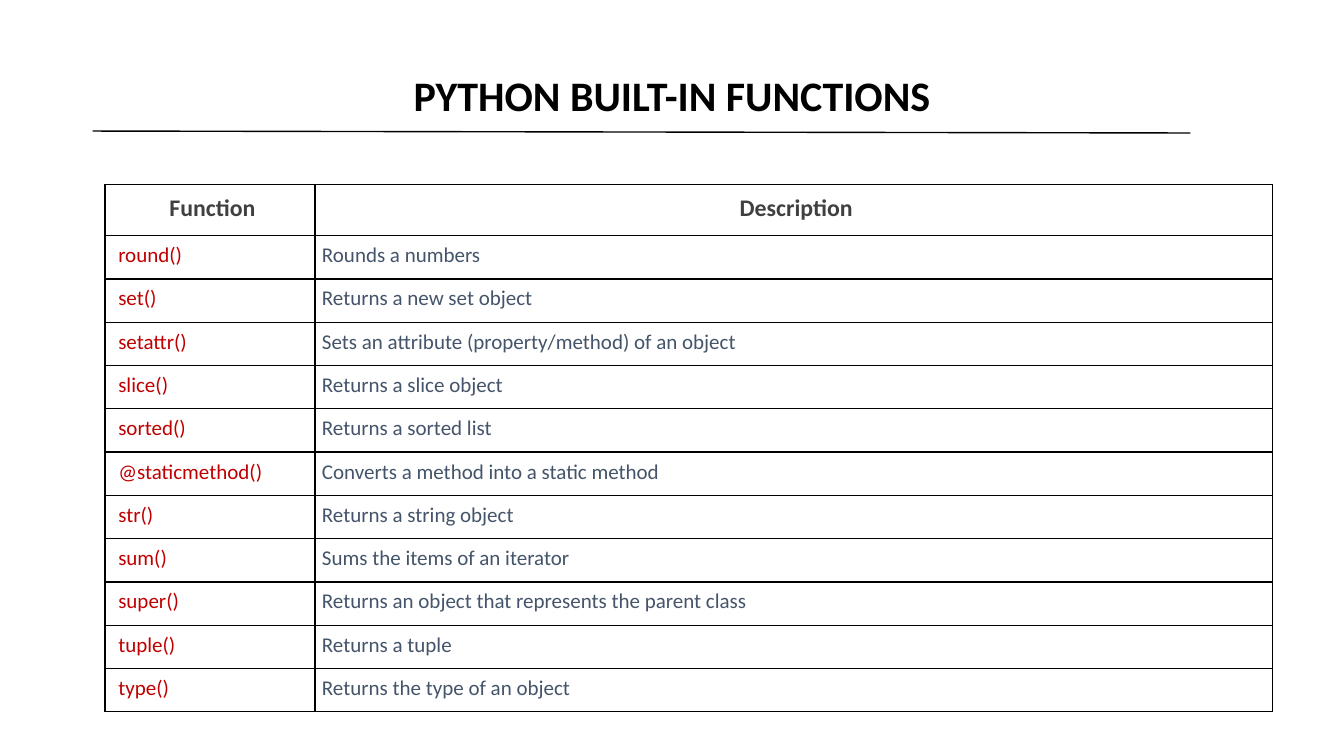
"""Build the slide listing Python built-in functions in a bordered table."""
from lxml import etree
from pptx import Presentation
from pptx import util as u
from pptx.dml.color import RGBColor
from pptx.enum import shapes, text
from pptx.oxml.ns import qn

HEADING = "PYTHON BUILT-IN FUNCTIONS"
HEADER = ("Function", "Description")
FUNCTIONS = [
    ("round()", "Rounds a numbers"),
    ("set()", "Returns a new set object"),
    ("setattr()", "Sets an attribute (property/method) of an object"),
    ("slice()", "Returns a slice object"),
    ("sorted()", "Returns a sorted list"),
    ("@staticmethod()", "Converts a method into a static method"),
    ("str()", "Returns a string object"),
    ("sum()", "Sums the items of an iterator"),
    ("super()", "Returns an object that represents the parent class"),
    ("tuple()", "Returns a tuple"),
    ("type()", "Returns the type of an object"),
]

BLACK = RGBColor(0x00, 0x00, 0x00)
WHITE = RGBColor(0xFF, 0xFF, 0xFF)
GREY = RGBColor(0x40, 0x40, 0x40)
RED = RGBColor(0xC0, 0x00, 0x00)
SLATE = RGBColor(0x44, 0x54, 0x6A)

FONT = "Calibri"
SIDES = ("left", "top", "right", "bottom")
HEADER_INSETS = (13.5, 6.75, 10, 6.75)
FUNCTION_INSETS = (9.5, 5, 5, 5)
DESCRIPTION_INSETS = (5, 5, 5, 5)
COLUMN_WIDTHS = (150, 684)
HEADER_HEIGHT, FUNCTION_HEIGHT = 36.5, 30.95
TABLE_LEFT, TABLE_TOP = 75, 131.8


def apply(target, values):
    for name, value in values.items():
        setattr(target, name, value)


def set_insets(target, insets):
    apply(target, {f"margin_{side}": u.Pt(inset) for side, inset in zip(SIDES, insets)})


def write(paragraph, words, size, colour, bold, align):
    paragraph.text = words
    paragraph.alignment = align
    apply(paragraph.font, {"name": FONT, "size": u.Pt(size), "bold": bold})
    paragraph.font.color.rgb = colour


def add_borders(cell):
    properties = cell._tc.get_or_add_tcPr()
    for edge in ("lnL", "lnR", "lnT", "lnB"):
        border = etree.SubElement(properties, qn(f"a:{edge}"), w=str(u.Pt(1)))
        fill = etree.SubElement(border, qn("a:solidFill"))
        etree.SubElement(fill, qn("a:srgbClr"), val=str(BLACK))


def add_heading(slide):
    heading = slide.shapes.add_textbox(u.Pt(66.2), u.Pt(45.4), u.Pt(828), u.Pt(49.7))
    frame = heading.text_frame
    apply(frame, {"word_wrap": True, "vertical_anchor": text.MSO_ANCHOR.MIDDLE})
    set_insets(frame, (0, 0, 0, 0))
    paragraph = frame.paragraphs[0]
    write(paragraph, HEADING, 30, BLACK, True, text.PP_ALIGN.CENTER)
    apply(paragraph, {"line_spacing": 0.9, "space_after": u.Pt(6)})

    rule = slide.shapes.add_connector(
        shapes.MSO_CONNECTOR.STRAIGHT, u.Pt(66.2), u.Pt(93.6), u.Pt(850.3), u.Pt(95))
    rule.line.width = u.Pt(1)
    rule.line.color.rgb = BLACK
    etree.SubElement(rule._element.spPr, qn("a:effectLst"))


def add_functions(slide):
    rows = [HEADER, *FUNCTIONS]
    heights = [HEADER_HEIGHT] + [FUNCTION_HEIGHT] * len(FUNCTIONS)
    table = slide.shapes.add_table(
        len(rows), len(HEADER), u.Pt(TABLE_LEFT), u.Pt(TABLE_TOP),
        u.Pt(sum(COLUMN_WIDTHS)), u.Pt(sum(heights))).table
    for column, width in zip(table.columns, COLUMN_WIDTHS):
        column.width = u.Pt(width)
    for row, height in zip(table.rows, heights):
        row.height = u.Pt(height)

    header_style = (HEADER_INSETS, 17, GREY, True, text.PP_ALIGN.CENTER)
    body_styles = (
        (FUNCTION_INSETS, 15, RED, False, text.PP_ALIGN.LEFT),
        (DESCRIPTION_INSETS, 15, SLATE, False, text.PP_ALIGN.LEFT),
    )
    for row_index, row in enumerate(rows):
        for column_index, words in enumerate(row):
            cell = table.cell(row_index, column_index)
            insets, *style = body_styles[column_index] if row_index else header_style
            set_insets(cell, insets)
            add_borders(cell)
            cell.fill.solid()
            cell.fill.fore_color.rgb = WHITE
            write(cell.text_frame.paragraphs[0], words, *style)


def main():
    deck = Presentation()
    apply(deck, {"slide_width": u.Pt(960), "slide_height": u.Pt(540)})
    slide = deck.slides.add_slide(deck.slide_layouts[6])
    add_heading(slide)
    add_functions(slide)
    deck.save("out.pptx")


if __name__ == "__main__":
    main()
